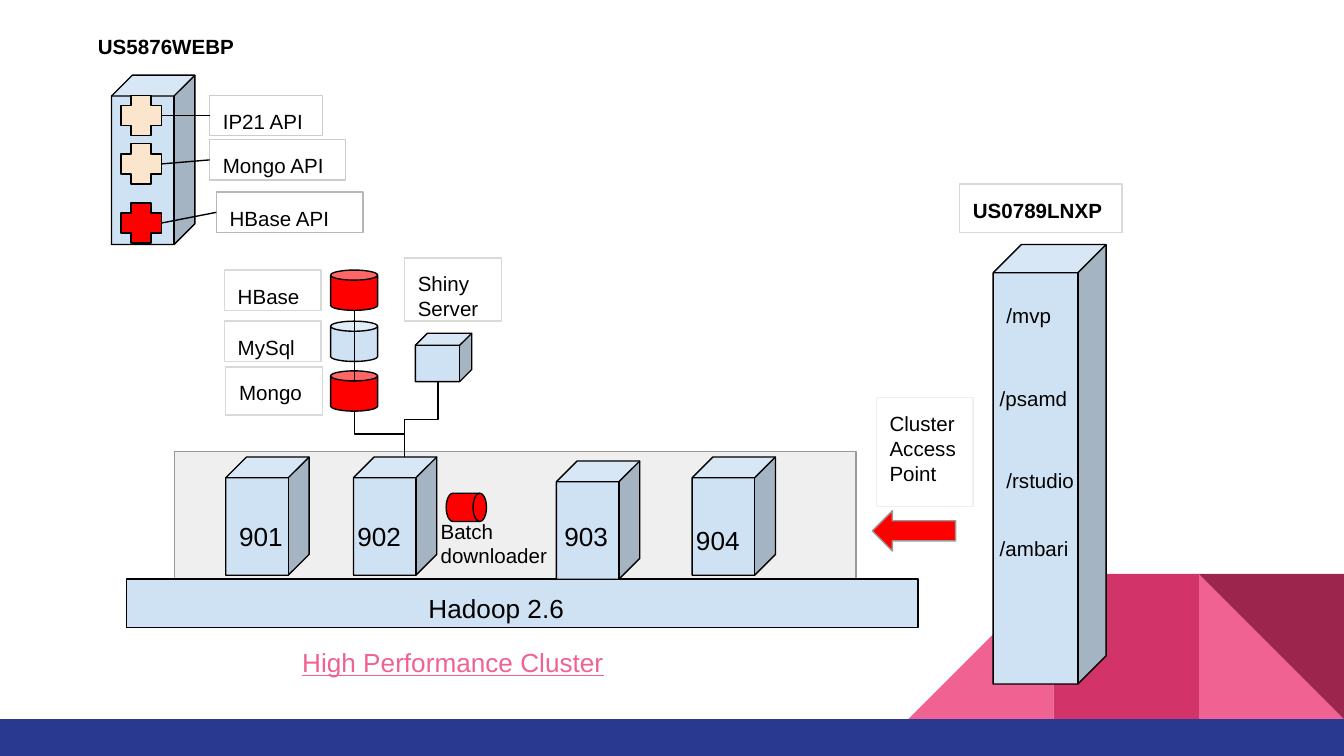
from lxml import etree
from pptx import Presentation
from pptx.dml.color import RGBColor
from pptx.enum.shapes import MSO_CONNECTOR, MSO_SHAPE
from pptx.enum.text import MSO_ANCHOR, PP_ALIGN
from pptx.oxml.ns import qn
from pptx.util import Inches, Pt

RECT, CUBE, CAN = MSO_SHAPE.RECTANGLE, MSO_SHAPE.CUBE, MSO_SHAPE.CAN
PLUS, DRUM = MSO_SHAPE.CROSS, MSO_SHAPE.FLOWCHART_DIRECT_ACCESS_STORAGE
ARROW, TRIANGLE = MSO_SHAPE.LEFT_ARROW, MSO_SHAPE.RIGHT_TRIANGLE
STRAIGHT, ELBOW = MSO_CONNECTOR.STRAIGHT, MSO_CONNECTOR.ELBOW
TOP, LEFT = MSO_ANCHOR.TOP, PP_ALIGN.LEFT

BLACK = RGBColor(0x00, 0x00, 0x00)
BLUE = RGBColor(0xCF, 0xE2, 0xF3)
RED = RGBColor(0xFF, 0x00, 0x00)
CREAM = RGBColor(0xFC, 0xE5, 0xCD)
PINK = RGBColor(0xF0, 0x62, 0x92)
ROSE = RGBColor(0xD2, 0x33, 0x69)
WINE = RGBColor(0x9C, 0x25, 0x4D)
NAVY = RGBColor(0x2A, 0x39, 0x90)
GREY = RGBColor(0x99, 0x99, 0x99)
MID_GREY = RGBColor(0xB7, 0xB7, 0xB7)
SILVER = RGBColor(0xCC, 0xCC, 0xCC)
PALE = RGBColor(0xD9, 0xD9, 0xD9)
MIST = RGBColor(0xEF, 0xEF, 0xEF)

# API name, plus top, plus fill, label box, label border
APIS = [
    ("IP21 API", 0.71, CREAM, (1.56, 0.71, 0.84, 0.3), SILVER),
    ("Mongo API", 1.07, CREAM, (1.56, 1.04, 1.01, 0.3), SILVER),
    ("HBase API", 1.51, RED, (1.61, 1.43, 1.09, 0.3), MID_GREY),
]
# database name, can top, can fill, label box
DATABASES = [
    ("HBase", 2.01, RED, (1.67, 2.01, 0.72, 0.3)),
    ("MySql", 2.39, BLUE, (1.67, 2.39, 0.72, 0.3)),
    ("Mongo", 2.76, RED, (1.68, 2.73, 0.72, 0.36)),
]
# node name, cube left and top, text left and top
NODES = [
    ("901", 1.68, 3.4, 1.68, 3.77),
    ("902", 2.63, 3.4, 2.56, 3.77),
    ("903", 4.14, 3.43, 4.1, 3.77),
    ("904", 5.15, 3.4, 5.08, 3.8),
]
# folder name, left, top, width
FOLDERS = [("/mvp", 7.39, 2.16, 0.62), ("/psamd", 7.34, 2.78, 0.72),
           ("/rstudio", 7.39, 3.39, 0.72), ("/ambari", 7.34, 3.9, 0.72)]
# paragraphs, box, border
LABELS = [
    (["Cluster", "Access", "Point"], (6.52, 2.96, 0.72, 0.81), MIST),
    (["Shiny Server"], (3.01, 1.92, 0.72, 0.47), PALE),
]
PLUS_LEFT, PLUS_SIZE = 0.9, 0.3
CAN_LEFT, CAN_WIDTH, CAN_HEIGHT = 2.46, 0.35, 0.3
TILE, TILE_TOP, TILE_RIGHT = 1.08, 4.27, 8.92

prs = Presentation()
prs.slide_width = Inches(10)
prs.slide_height = prs.slide_width * 9 // 16
s = prs.slides.add_slide(prs.slide_layouts[6])


def inches(box):
    """Turn a sequence of numbers into lengths."""
    return [Inches(v) for v in box]


def shape(kind, box, fill=None, line=None):
    """Add a preset shape; no fill or line unless a colour is given."""
    sp = s.shapes.add_shape(kind, *inches(box))
    sp.shadow.inherit = False
    if fill is None:
        sp.fill.background()
    else:
        sp.fill.solid()
        sp.fill.fore_color.rgb = fill
    if line is None:
        sp.line.fill.background()
    else:
        sp.line.color.rgb = line
        sp.line.width = Pt(0.75)
    return sp


def write(sp, lines, size=11, color=BLACK, bold=False, underline=False):
    """Write left-aligned paragraphs from the top of a shape."""
    tf = sp.text_frame
    tf.word_wrap = True
    tf.vertical_anchor = TOP
    tf.margin_left = tf.margin_right = Inches(0.1)
    tf.margin_top = tf.margin_bottom = Inches(0.1)
    for i, line in enumerate(lines):
        p = tf.paragraphs[0] if i == 0 else tf.add_paragraph()
        p.alignment = LEFT
        r = p.add_run()
        r.text = line
        r.font.name, r.font.size = "Arial", Pt(size)
        r.font.color.rgb = color
        r.font.bold, r.font.underline = bold, underline


def text(lines, box, **style):
    """Add a plain text box."""
    write(s.shapes.add_textbox(*inches(box)), lines, **style)


def label(lines, box, border, **style):
    """Add a text box with a thin border."""
    write(shape(RECT, box, line=border), lines, **style)


def connect(x1, y1, x2, y2, kind=STRAIGHT):
    """Add a thin black connector."""
    cx = s.shapes.add_connector(kind, *inches((x1, y1, x2, y2)))
    cx.line.color.rgb = BLACK
    cx.line.width = Pt(0.75)
    etree.SubElement(cx._element.spPr, qn("a:effectLst"))
    return cx


def drop(x1, y1, x2, y2):
    """Add an elbow that leaves and arrives vertically, by a quarter turn."""
    mid_x, mid_y = (x1 + x2) / 2, (y1 + y2) / 2
    half_w, half_h = (y2 - y1) / 2, abs(x2 - x1) / 2
    ends = [mid_x - half_w, mid_x + half_w]
    if x2 > x1:
        ends.reverse()
    cx = connect(ends[0], mid_y - half_h, ends[1], mid_y + half_h, ELBOW)
    cx._element.spPr.find(qn("a:xfrm")).set("rot", str((270 if x2 > x1 else 90) * 60000))


# Corner decoration
shape(TRIANGLE, (TILE_RIGHT, TILE_TOP, TILE, TILE), PINK)
left_tile = shape(TRIANGLE, (TILE_RIGHT - 2 * TILE, TILE_TOP, TILE, TILE), PINK)
left_tile._element.spPr.find(qn("a:xfrm")).set("flipH", "1")
shape(RECT, (TILE_RIGHT - TILE, TILE_TOP, TILE, TILE), ROSE)
shape(TRIANGLE, (TILE_RIGHT, TILE_TOP, TILE, TILE), WINE).rotation = 180
shape(RECT, (0, 5.35, 10, 0.28), NAVY)

# Cluster
shape(RECT, (1.3, 3.36, 5.07, 0.95), MIST, GREY)
shape(RECT, (0.94, 4.31, 5.89, 0.36), BLUE, BLACK)
text(["Hadoop 2.6"], (3.09, 4.31, 1.57, 0.21), size=14)
text(["High Performance Cluster"], (2.15, 4.71, 2.52, 0.47),
     size=14, color=PINK, underline=True)
for name, x, y, text_x, text_y in NODES:
    shape(CUBE, (x, y, 0.62, 0.88), BLUE, BLACK)
    text([name], (text_x, text_y, 0.62, 0.21), size=14)
shape(DRUM, (3.32, 3.67, 0.3, 0.21), RED, BLACK)
text(["Batch ", "downloader"], (3.18, 3.76, 1.01, 0.21))

# Web server and its APIs
text(["US5876WEBP"], (0.63, 0.16, 1.28, 0.36), bold=True)
shape(CUBE, (0.83, 0.56, 0.62, 1.26), BLUE, BLACK)
for name, y, fill, box, border in APIS:
    shape(PLUS, (PLUS_LEFT, y, PLUS_SIZE, PLUS_SIZE), fill, BLACK)
    label([name], box, border)
    connect(box[0], box[1] + box[3] / 2, PLUS_LEFT + PLUS_SIZE, y + PLUS_SIZE / 2)

# Access server
shape(CUBE, (7.39, 1.82, 0.84, 3.27), BLUE, BLACK)
label(["US0789LNXP"], (7.14, 1.37, 1.21, 0.36), PALE, bold=True)
for name, x, y, width in FOLDERS:
    text([name], (x, y, width, 0.37))
shape(ARROW, (6.49, 3.8, 0.62, 0.3), RED, GREY)

# Databases and services feeding node 902
for name, y, fill, box in DATABASES:
    shape(CAN, (CAN_LEFT, y, CAN_WIDTH, CAN_HEIGHT), fill, BLACK)
    label([name], box, PALE)
shape(CUBE, (3.09, 2.48, 0.42, 0.36), BLUE, BLACK)
for lines, box, border in LABELS:
    label(lines, box, border)
connect(2.64, 2.31, 2.64, 2.84)
drop(2.64, 3.06, 3.01, 3.4)
drop(3.26, 2.84, 3.01, 3.4)

prs.save("out.pptx")
